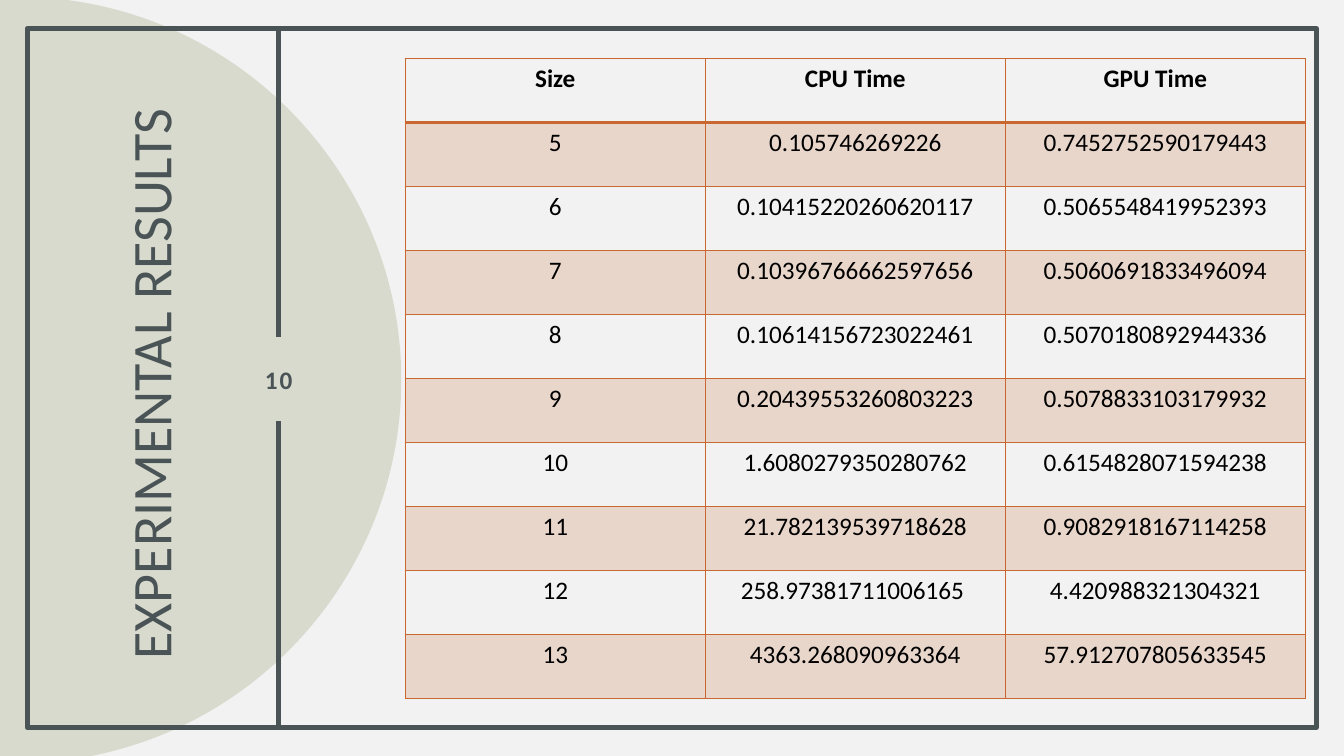
from lxml import etree
from pptx import Presentation
from pptx.dml.color import RGBColor
from pptx.enum import shapes, text
from pptx.oxml import ns
from pptx.util import Pt

TITLE = "EXPERIMENTAL RESULTS "
PAGE_NUMBER = "10"
HEADER = ("Size", "CPU Time", "GPU Time")
TIMINGS = [
    ("5", "0.105746269226", "0.7452752590179443"),
    ("6", "0.10415220260620117", "0.5065548419952393"),
    ("7", "0.10396766662597656", "0.5060691833496094"),
    ("8", "0.10614156723022461", "0.5070180892944336"),
    ("9", "0.20439553260803223", "0.5078833103179932"),
    ("10", "1.6080279350280762", "0.6154828071594238"),
    ("11", "21.782139539718628", "0.9082918167114258"),
    ("12", "258.97381711006165 ", "4.420988321304321"),
    ("13", "4363.268090963364", "57.912707805633545"),
]

FONT = "Calibri"
BACKGROUND, DISC, SLATE, ORANGE, BLACK = "F2F2F2", "D7DACD", "4A5356", "C96731", "000000"
LINE_WIDTH = 3.5
DISC_X, DISC_Y, DISC_RADIUS = 13, 271.4, 273.6
ARC_HANDLE = 0.55 * DISC_RADIUS
DIVIDER_X = 198.9
DIVIDERS = [(20.2, 240.5), (301, 521.3)]
TABLE_LEFT, TABLE_TOP = 289.5, 41.7
COLUMN_WIDTH, ROW_HEIGHT = 214.3, 45.72


def color(hex_value):
    return RGBColor.from_string(hex_value)


def set_line(line):
    line.color.rgb = color(SLATE)
    line.width = Pt(LINE_WIDTH)


def add_child(parent, tag, **attributes):
    return etree.SubElement(parent, ns.qn(tag), attributes)


def set_font(paragraph, size, hex_value, bold=False):
    paragraph.alignment = text.PP_ALIGN.CENTER
    font = paragraph.font
    font.name, font.size, font.bold = FONT, Pt(size), bold
    font.color.rgb = color(hex_value)


def add_text(slide, box, words, size, insets, bold=False):
    shape = slide.shapes.add_textbox(*map(Pt, box))
    frame = shape.text_frame
    frame.word_wrap = True
    frame.vertical_anchor = text.MSO_ANCHOR.MIDDLE
    frame.margin_left = frame.margin_right = Pt(insets[0])
    frame.margin_top = frame.margin_bottom = Pt(insets[1])
    paragraph = frame.paragraphs[0]
    paragraph.add_run().text = words
    set_font(paragraph, size, SLATE, bold)
    return shape, paragraph


def bend(segment, handles):
    """Turn a straight outline segment into a curve with the two handles."""
    segment.tag = ns.qn("a:cubicBezTo")
    for index, (x, y) in enumerate(handles):
        point = etree.Element(ns.qn("a:pt"), x=str(Pt(x)), y=str(Pt(y)))
        segment.insert(index, point)


def add_disc(slide):
    """Draw the right half of a circle, closed along the slide's left edge."""
    top, bottom, right = DISC_Y - DISC_RADIUS, DISC_Y + DISC_RADIUS, DISC_X + DISC_RADIUS
    outline = [(right, DISC_Y), (DISC_X, bottom), (0, bottom - 0.4), (0, top + 0.4)]
    builder = slide.shapes.build_freeform(Pt(DISC_X), Pt(top))
    builder.add_line_segments([(Pt(x), Pt(y)) for x, y in outline], close=True)
    disc = builder.convert_to_shape()
    upper, lower = list(disc._element.spPr.iter(ns.qn("a:lnTo")))[:2]
    # Handles are measured from the top of the disc.
    bend(upper, [(DISC_X + ARC_HANDLE, 0), (right, DISC_RADIUS - ARC_HANDLE)])
    bend(lower, [(right, DISC_RADIUS + ARC_HANDLE), (DISC_X + ARC_HANDLE, 2 * DISC_RADIUS)])
    disc.shadow.inherit = False
    disc.fill.solid()
    disc.fill.fore_color.rgb = color(DISC)
    disc.line.fill.background()


def add_frame(slide):
    frame = slide.shapes.add_shape(
        shapes.MSO_SHAPE.RECTANGLE, Pt(19.5), Pt(20.2), Pt(920.6), Pt(499.7))
    frame.shadow.inherit = False
    frame.fill.background()
    set_line(frame.line)
    for top, bottom in DIVIDERS:
        divider = slide.shapes.add_connector(
            shapes.MSO_CONNECTOR.STRAIGHT, Pt(DIVIDER_X), Pt(top), Pt(DIVIDER_X), Pt(bottom))
        set_line(divider.line)
        add_child(divider._element.spPr, "a:effectLst")


def set_borders(cell, widths):
    properties = cell._tc.get_or_add_tcPr()
    for side, width in widths.items():
        border = add_child(properties, f"a:ln{side}", w=str(Pt(width)))
        add_child(add_child(border, "a:solidFill"), "a:srgbClr", val=ORANGE)


def tint(cell):
    """Fill the cell with orange at 20 % opacity."""
    cell.fill.solid()
    cell.fill.fore_color.rgb = color(ORANGE)
    solid_fill = cell._tc.tcPr.find(ns.qn("a:solidFill"))
    add_child(solid_fill[0], "a:alpha", val="20000")


def add_timing_table(slide):
    rows = [HEADER, *TIMINGS]
    table = slide.shapes.add_table(
        len(rows), len(HEADER), Pt(TABLE_LEFT), Pt(TABLE_TOP),
        Pt(COLUMN_WIDTH * len(HEADER)), Pt(ROW_HEIGHT * len(rows))).table
    table.first_row = table.horz_banding = False
    for column in table.columns:
        column.width = Pt(COLUMN_WIDTH)
    for row_index, values in enumerate(rows):
        table.rows[row_index].height = Pt(ROW_HEIGHT)
        for column_index, value in enumerate(values):
            cell = table.cell(row_index, column_index)
            cell.text = value
            set_font(cell.text_frame.paragraphs[0], 18, BLACK, bold=row_index == 0)
            set_borders(cell, {"L": 1, "R": 1, "T": 2 if row_index == 1 else 1,
                               "B": 2 if row_index == 0 else 1})
            if row_index % 2:
                tint(cell)
            else:
                cell.fill.background()


def main():
    presentation = Presentation()
    presentation.slide_width, presentation.slide_height = Pt(960), Pt(540)
    slide = presentation.slides.add_slide(presentation.slide_layouts[6])
    slide.background.fill.solid()
    slide.background.fill.fore_color.rgb = color(BACKGROUND)

    add_disc(slide)
    add_frame(slide)
    title, paragraph = add_text(slide, (-137.5, 180.2, 493.9, 179.3), TITLE, 40, (14.4, 0))
    title.rotation = 270
    paragraph.line_spacing = 0.9
    _, paragraph = add_text(
        slide, (172.8, 240.8, 52.6, 60.5), PAGE_NUMBER, 18, (0, 3.6), bold=True)
    paragraph.runs[0].font._element.set("spc", "150")
    add_timing_table(slide)
    presentation.save("out.pptx")


if __name__ == "__main__":
    main()
